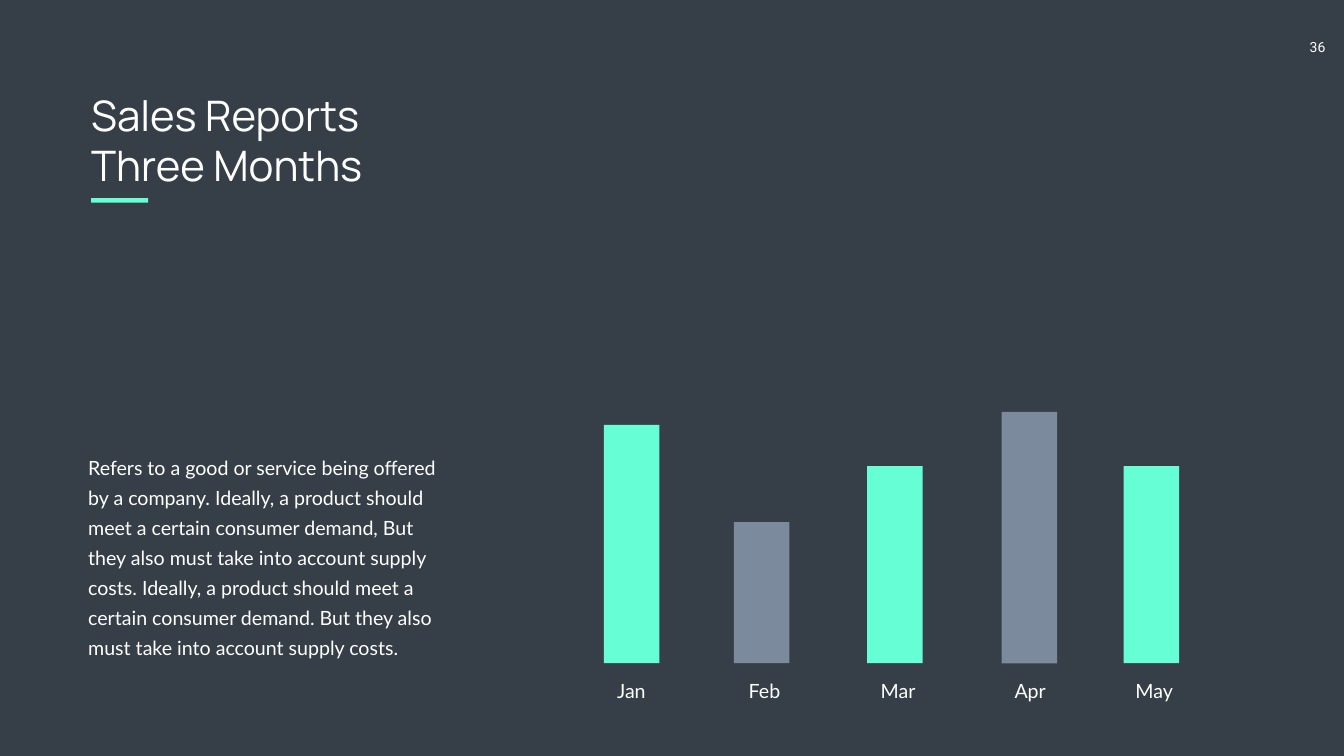
from pptx import Presentation
from pptx.dml.color import RGBColor
from pptx.enum.shapes import MSO_SHAPE
from pptx.enum.text import MSO_ANCHOR as ANCHOR, PP_ALIGN as ALIGN
from pptx.util import Inches, Pt

# Content
PAGE = "36"
TITLE = "Sales Reports Three Months"
BODY = ("Refers to a good or service being offered by a company. Ideally, a product "
        "should meet a certain consumer demand, But they also must take into account "
        "supply costs. Ideally, a product should meet a certain consumer demand. But "
        "they also must take into account supply costs.")
# Month, bar left, bar height, label left
MONTHS = [
    ("Jan", 11.98, 4.73, 11.63),
    ("Feb", 14.56, 2.80, 14.27),
    ("Mar", 17.20, 3.91, 16.92),
    ("Apr", 19.87, 4.99, 19.54),
    ("May", 22.29, 3.91, 22.00),
]

# Style
DARK = RGBColor(0x36, 0x3E, 0x48)
MINT = RGBColor(0x66, 0xFF, 0xD5)
SLATE = RGBColor(0x7B, 0x8A, 0x9C)
WHITE = RGBColor(0xFF, 0xFF, 0xFF)
BASELINE = 13.16
BAR_W = 1.1

prs = Presentation()
prs.slide_width, prs.slide_height = Inches(26.66), Inches(15)
s = prs.slides.add_slide(prs.slide_layouts[6])
s.background.fill.solid()
s.background.fill.fore_color.rgb = DARK


def add_text(text, x, y, w, h, size=28, font="Lato", align=ALIGN.LEFT,
             anchor=ANCHOR.TOP, spacing=None, insets=(0.1, 0.05, 0.1, 0.05)):
    tf = s.shapes.add_textbox(Inches(x), Inches(y), Inches(w), Inches(h)).text_frame
    tf.word_wrap = True
    tf.vertical_anchor = anchor
    tf.margin_left, tf.margin_top, tf.margin_right, tf.margin_bottom = map(Inches, insets)
    p = tf.paragraphs[0]
    p.alignment = align
    p.line_spacing = spacing
    r = p.add_run()
    r.text = text
    r.font.size, r.font.name = Pt(size), font
    r.font.color.rgb = WHITE


def add_bar(x, y, w, h, color):
    sp = s.shapes.add_shape(MSO_SHAPE.RECTANGLE, Inches(x), Inches(y), Inches(w), Inches(h))
    sp.shadow.inherit = False
    sp.fill.solid()
    sp.fill.fore_color.rgb = color
    sp.line.fill.background()


# Page number
add_text(PAGE, 25.63, 0.67, 1.01, 0.54, size=20, font="Roboto", align=ALIGN.CENTER,
         insets=(0.2, 0.1, 0.2, 0.1))

# Title with accent rule
add_text(TITLE, 1.71, 1.72, 6.89, 2.12, size=60, font="Manrope")
add_bar(1.81, 3.93, 1.13, 0.09, MINT)

# Description
add_text(BODY, 1.51, 8.79, 7.49, 4.39, spacing=Pt(43), insets=(0.24, 0.12, 0.24, 0.12))

# Bars in alternating colours, each with its month below
for i, (month, bar_x, bar_h, label_x) in enumerate(MONTHS):
    add_bar(bar_x, BASELINE - bar_h, BAR_W, bar_h, SLATE if i % 2 else MINT)
    add_text(month, label_x, 13.37, 1.69, 0.54, align=ALIGN.CENTER,
             anchor=ANCHOR.MIDDLE, spacing=1.3, insets=(0.1, 0, 0, 0))

prs.save("out.pptx")
